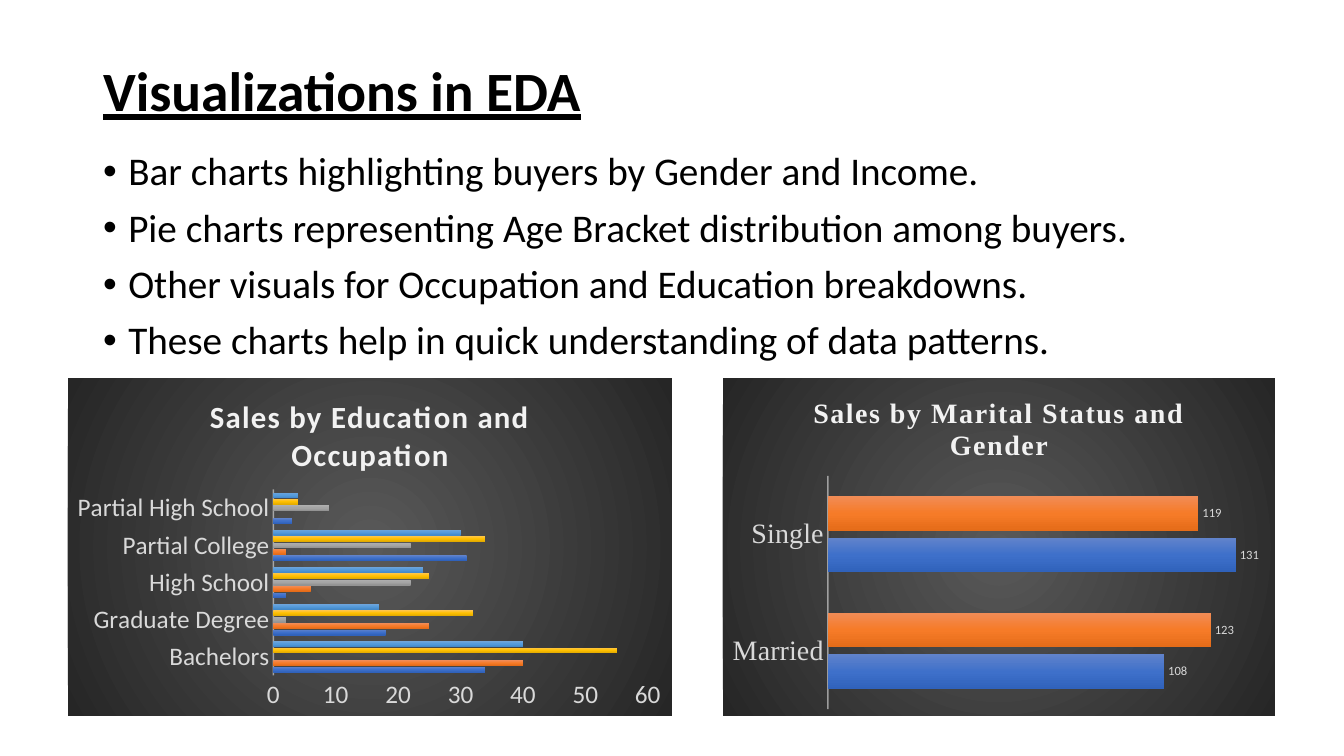
from lxml import etree
from pptx import Presentation
from pptx import util as u
from pptx.chart import data
from pptx.dml.color import RGBColor
from pptx.enum import chart as ch, text
from pptx.oxml import parse_xml
from pptx.oxml.ns import nsdecls, qn

COLORS = {
    "ink": "000000",
    "chart title": "F2F2F2",
    "axis line": "F2F2F2",
    "label": "D9D9D9",
    "panel": ("595959", "262626"),
    "bars": [
        ("6183CB", "3E70CA", "3062BB"),
        ("F18C57", "F67B28", "E56C19"),
        ("AFAFAF", "A5A5A5", "939393"),
        ("FFC64B", "FFC000", "E3AB00"),
        ("71A6DB", "559BDB", "448ACA"),
    ],
}
HEADING = "Visualizations in EDA"
POINTS = [
    "Bar charts highlighting buyers by Gender and Income.",
    "Pie charts representing Age Bracket distribution among buyers.",
    "Other visuals for Occupation and Education breakdowns.",
    "These charts help in quick understanding of data patterns.",
]
EDUCATION = ["Bachelors", "Graduate Degree", "High School", "Partial College", "Partial High School"]
OCCUPATION_SALES = [
    (34, 18, 2, 31, 3),
    (40, 25, 6, 2, None),
    (None, 2, 22, 22, 9),
    (55, 32, 25, 34, 4),
    (40, 17, 24, 30, 4),
]
MARITAL = ["Married", "Single"]
GENDER_SALES = [(108, 131), (123, 119)]


def px(length):
    return u.Emu(round(length * 914400 / 100.8))


def style(font, face, size, color, bold=None):
    font.name, font.size, font.bold = face, u.Pt(size), bold
    font.color.rgb = RGBColor.from_string(COLORS[color])


def gradient(stops, direction):
    step = 100000 // (len(stops) - 1)
    marks = "".join(
        f'<a:gs pos="{i * step}"><a:srgbClr val="{stop}"/></a:gs>'
        for i, stop in enumerate(stops)
    )
    return f'<a:gradFill {nsdecls("a")}><a:gsLst>{marks}</a:gsLst>{direction}</a:gradFill>'


def place(holder, left, top, width, height):
    holder.left, holder.top = px(left), px(top)
    holder.width, holder.height = px(width), px(height)
    holder.text_frame.word_wrap = True
    holder.text_frame.auto_size = text.MSO_AUTO_SIZE.NONE


def write_heading(holder):
    place(holder, 93, 40, 1159, 107)
    holder.text_frame.vertical_anchor = text.MSO_ANCHOR.MIDDLE
    line = holder.text_frame.paragraphs[0]
    line.alignment, line.line_spacing = text.PP_ALIGN.LEFT, 0.9
    run = line.add_run()
    run.text = HEADING
    style(run.font, "Calibri", 39.6, "ink", True)
    run.font.underline = True


def write_points(holder):
    place(holder, 93, 147, 1159, 585)
    frame = holder.text_frame
    frame.vertical_anchor = text.MSO_ANCHOR.TOP
    for i, point in enumerate(POINTS):
        line = frame.add_paragraph() if i else frame.paragraphs[0]
        line.line_spacing, line.space_before = 0.9, u.Pt(10 if i else 0)
        props = line._p.get_or_add_pPr()
        props.set("marL", str(u.Inches(0.25)))
        props.set("indent", str(-u.Inches(0.25)))
        etree.SubElement(props, qn("a:buChar"), char="•")
        run = line.add_run()
        run.text = point
        style(run.font, "Calibri", 28, "ink")


def fix_plot_area(chart, area):
    edges = "".join(f'<c:{key} val="{value}"/>' for key, value in zip("xywh", area))
    layout = parse_xml(
        f'<c:layout {nsdecls("c")}><c:manualLayout><c:layoutTarget val="inner"/>'
        f'<c:xMode val="edge"/><c:yMode val="edge"/>{edges}</c:manualLayout></c:layout>'
    )
    plot_area = chart._chartSpace.chart.plotArea
    for old in plot_area.findall(qn("c:layout")):
        plot_area.remove(old)
    plot_area.insert(0, layout)


def paint_panel(chart):
    centre = '<a:path path="circle"><a:fillToRect l="50000" t="50000" r="50000" b="50000"/></a:path>'
    panel = parse_xml(
        f'<c:spPr {nsdecls("c", "a")}>{gradient(COLORS["panel"], centre)}'
        "<a:ln><a:noFill/></a:ln></c:spPr>"
    )
    chart._chartSpace.chart.addnext(panel)


def add_bars(slide, frame, heading, categories, sales, face, title_size, tick_size, top_value, area):
    figures = data.CategoryChartData()
    figures.categories = categories
    for i, values in enumerate(sales, 1):
        figures.add_series(f"Series {i}", values)
    chart = slide.shapes.add_chart(
        ch.XL_CHART_TYPE.BAR_CLUSTERED, *map(px, frame), figures
    ).chart
    style(chart.font, "Calibri", 18, "ink")
    chart.has_legend = False
    paint_panel(chart)
    fix_plot_area(chart, area)

    title = chart.chart_title.text_frame.paragraphs[0].add_run()
    title.text = heading
    style(title.font, face, title_size, "chart title", True)
    title._r.get_or_add_rPr().set("spc", "100")
    chart.chart_title.include_in_layout = False

    plot = chart.plots[0]
    plot.gap_width, plot.overlap, plot.vary_by_categories = 115, -20, False
    for series, stops in zip(plot.series, COLORS["bars"]):
        fill = gradient(stops, '<a:lin ang="5400000" scaled="0"/>')
        series._element.get_or_add_spPr().append(parse_xml(fill))

    names, scale = chart.category_axis, chart.value_axis
    names.format.line.width = u.Pt(1)
    names.format.line.color.rgb = RGBColor.from_string(COLORS["axis line"])
    etree.SubElement(names._element.find(".//" + qn("a:srgbClr")), qn("a:alpha"), val="54000")
    scale.format.line.fill.background()
    scale.minimum_scale, scale.maximum_scale = 0, top_value
    for axis in (names, scale):
        axis.has_major_gridlines = False
        axis.major_tick_mark = axis.minor_tick_mark = ch.XL_TICK_MARK.NONE
        style(axis.tick_labels.font, face, tick_size, "label")
    return chart


def label_bars(chart):
    for series in chart.plots[0].series:
        labels = series.data_labels
        labels.show_value = True
        labels.position = ch.XL_LABEL_POSITION.OUTSIDE_END
        style(labels.font, "Calibri", 9, "label")


def main():
    deck = Presentation()
    deck.slide_width, deck.slide_height = px(1344), px(756)
    slide = deck.slides.add_slide(deck.slide_layouts[1])
    write_heading(slide.shapes.title)
    write_points(slide.placeholders[1])
    education = add_bars(
        slide, (68, 378, 604, 338), "Sales by Education and Occupation",
        EDUCATION, OCCUPATION_SALES, "Calibri", 22, 18, 60, (0.34, 0.33, 0.62, 0.55),
    )
    education.value_axis.major_unit = 10
    marital = add_bars(
        slide, (723, 378, 552, 338), "Sales by Marital Status and Gender",
        MARITAL, GENDER_SALES, "Times New Roman", 20, 20, 140, (0.19, 0.29, 0.79, 0.69),
    )
    marital.value_axis.visible = False
    label_bars(marital)
    deck.save("out.pptx")


if __name__ == "__main__":
    main()
